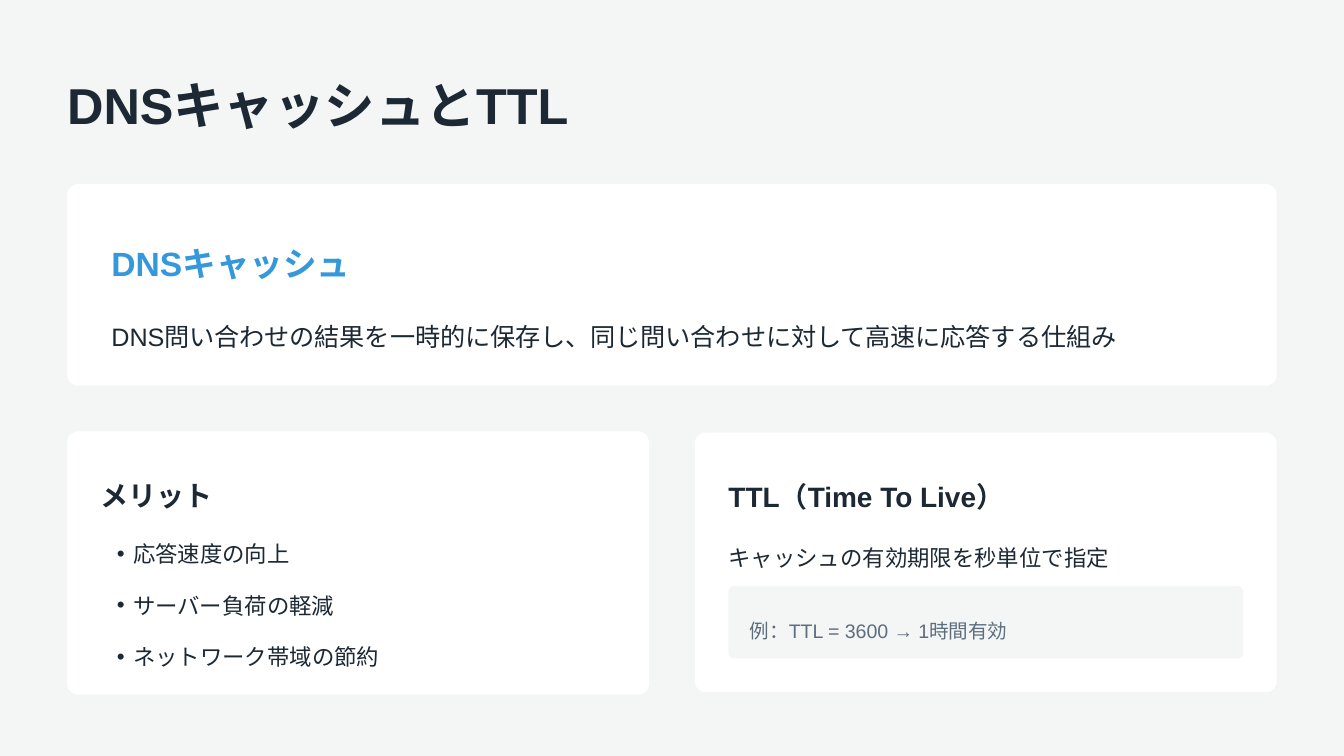
from dataclasses import dataclass

from lxml.etree import SubElement
from pptx import Presentation
from pptx.dml.color import RGBColor
from pptx.enum.shapes import MSO_SHAPE
from pptx.enum.text import MSO_ANCHOR, MSO_AUTO_SIZE, PP_ALIGN
from pptx.oxml.ns import qn
from pptx.slide import Slide
from pptx.text.text import TextFrame
from pptx.util import Inches, Pt

FONT = "Arial"
COLORS = {
    "background": "F4F6F6",
    "card": "FFFFFF",
    "ink": "1C2833",
    "accent": "3498DB",
    "muted": "5D6D7E",
}
SLIDE_WIDTH = 10
BULLET_INDENT = 0.12


@dataclass(frozen=True)
class Box:
    left: float
    top: float
    width: float
    height: float

    def lengths(self) -> tuple[Inches, Inches, Inches, Inches]:
        return Inches(self.left), Inches(self.top), Inches(self.width), Inches(self.height)


@dataclass(frozen=True)
class Panel:
    box: Box
    rounding: float
    color: str = "card"


@dataclass(frozen=True)
class TextBlock:
    box: Box
    lines: tuple[str, ...]
    size: float
    line_spacing: float
    color: str = "ink"
    bold: bool = False
    bulleted: bool = False


TITLE = TextBlock(Box(0.5, 0.5, 4.6, 0.42), ("DNSキャッシュとTTL",), 27, 1.11, bold=True)

PANELS = (
    Panel(Box(0.5, 1.37, 9, 1.5), 0.055),
    Panel(Box(0.5, 3.21, 4.33, 1.96), 0.043),
    Panel(Box(5.17, 3.22, 4.33, 1.93), 0.043),
    Panel(Box(5.42, 4.36, 3.83, 0.54), 0.077, "background"),
)

TEXT_BLOCKS = (
    TextBlock(Box(0.83, 1.71, 8.5, 0.33), ("DNSキャッシュ",), 18, 1.33, "accent", bold=True),
    TextBlock(
        Box(0.83, 2.21, 8.5, 0.34),
        ("DNS問い合わせの結果を一時的に保存し、同じ問い合わせに対して高速に応答する仕組み",),
        13.5, 1.8,
    ),
    TextBlock(Box(0.75, 3.46, 3.91, 0.29), ("メリット",), 15, 1.4, bold=True),
    TextBlock(
        Box(0.75, 3.92, 3.83, 1),
        ("応答速度の向上", "サーバー負荷の軽減", "ネットワーク帯域の節約"),
        12, 1.5, bulleted=True,
    ),
    TextBlock(Box(5.42, 3.47, 3.91, 0.29), ("TTL（Time To Live）",), 15, 1.4, bold=True),
    TextBlock(Box(5.42, 3.93, 3.91, 0.27), ("キャッシュの有効期限を秒単位で指定",), 12, 1.6),
    TextBlock(Box(5.58, 4.53, 3.57, 0.21), ("例：TTL = 3600 → 1時間有効",), 10.5, 1.43, "muted"),
)


def rgb(name: str) -> RGBColor:
    return RGBColor.from_string(COLORS[name])


def add_bullet(paragraph, color: str) -> None:
    properties = paragraph._p.get_or_add_pPr()
    properties.set("marL", str(Inches(BULLET_INDENT)))
    properties.set("indent", str(-Inches(BULLET_INDENT)))
    bullet_color = SubElement(properties, qn("a:buClr"))
    SubElement(bullet_color, qn("a:srgbClr"), val=COLORS[color])
    SubElement(properties, qn("a:buFont"), typeface=FONT)
    SubElement(properties, qn("a:buChar"), char="•")


def write_text(frame: TextFrame, block: TextBlock) -> None:
    frame.word_wrap = True
    frame.auto_size = MSO_AUTO_SIZE.NONE
    frame.vertical_anchor = MSO_ANCHOR.TOP
    frame.margin_left = Inches(BULLET_INDENT if block.bulleted else 0)
    frame.margin_top = frame.margin_right = frame.margin_bottom = 0
    for index, line in enumerate(block.lines):
        paragraph = frame.add_paragraph() if index else frame.paragraphs[0]
        paragraph.alignment = PP_ALIGN.LEFT
        paragraph.line_spacing = block.line_spacing
        paragraph.space_before = Pt(6 if index else 0)
        if block.bulleted:
            add_bullet(paragraph, block.color)
        run = paragraph.add_run()
        run.text = line
        run.font.name = FONT
        run.font.size = Pt(block.size)
        run.font.bold = block.bold
        run.font.color.rgb = rgb(block.color)


def add_title(slide: Slide, block: TextBlock) -> None:
    title = slide.shapes.title
    title.left, title.top, title.width, title.height = block.box.lengths()
    write_text(title.text_frame, block)


def add_panel(slide: Slide, panel: Panel) -> None:
    shape = slide.shapes.add_shape(MSO_SHAPE.ROUNDED_RECTANGLE, *panel.box.lengths())
    shape.adjustments[0] = panel.rounding
    shape.shadow.inherit = False
    shape.fill.solid()
    shape.fill.fore_color.rgb = rgb(panel.color)
    shape.line.fill.background()


def add_text_block(slide: Slide, block: TextBlock) -> None:
    write_text(slide.shapes.add_textbox(*block.box.lengths()).text_frame, block)


def main() -> None:
    presentation = Presentation()
    presentation.slide_width = Inches(SLIDE_WIDTH)
    presentation.slide_height = Inches(SLIDE_WIDTH * 9 / 16)
    slide = presentation.slides.add_slide(presentation.slide_layouts.get_by_name("Title Only"))
    slide.background.fill.solid()
    slide.background.fill.fore_color.rgb = rgb("background")

    add_title(slide, TITLE)
    for panel in PANELS:
        add_panel(slide, panel)
    for block in TEXT_BLOCKS:
        add_text_block(slide, block)
    presentation.save("out.pptx")


if __name__ == "__main__":
    main()
